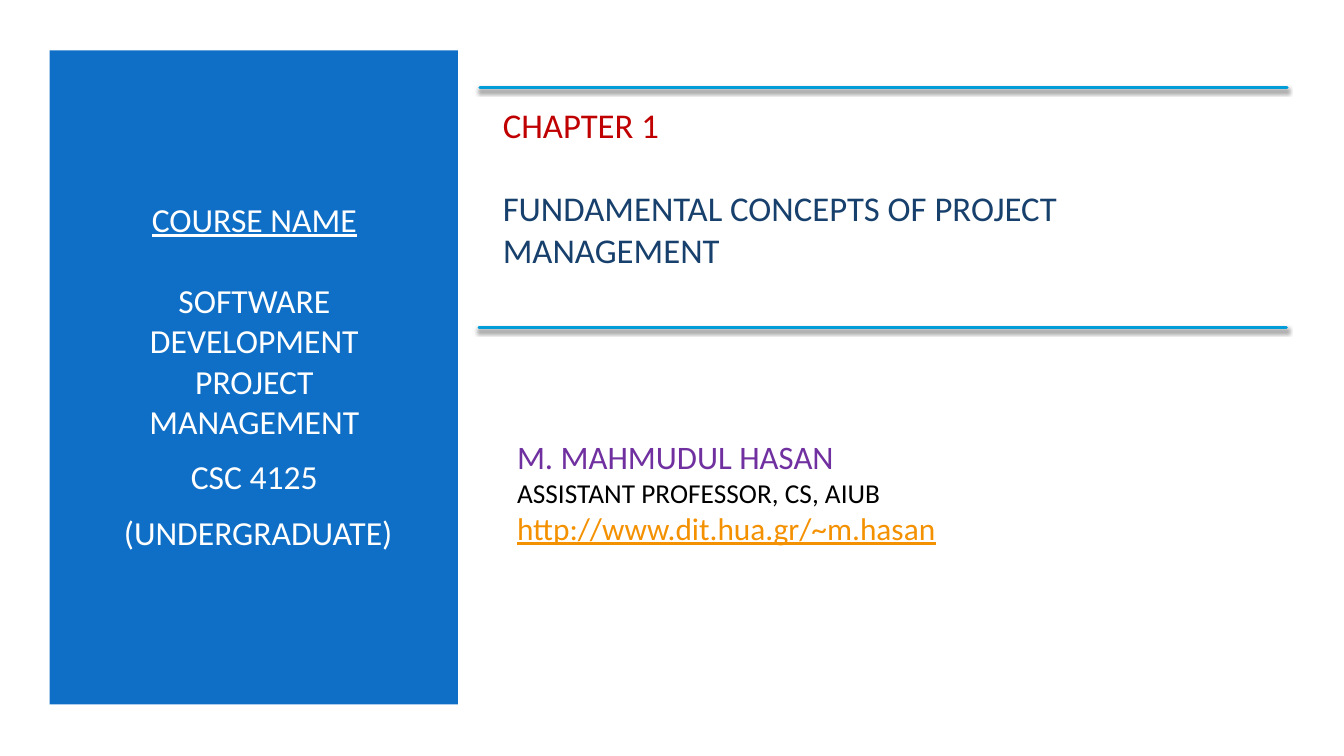
import dataclasses

import lxml.etree
import pptx
import pptx.dml.color
import pptx.enum.shapes
import pptx.enum.text
import pptx.oxml
import pptx.oxml.ns
import pptx.shapes.base
import pptx.slide
import pptx.util

Cm = pptx.util.Cm
Pt = pptx.util.Pt


@dataclasses.dataclass(frozen=True)
class Theme:
    font: str = "Calibri"
    panel: str = "0F6FC6"
    rule: str = "009DD9"
    white: str = "FFFFFF"
    black: str = "000000"
    chapter: str = "C00000"
    topic: str = "17406D"
    author: str = "7030A0"
    web: str = "F49100"
    course_size: float = 24
    title_size: float = 24.8
    author_size: float = 23.4
    role_size: float = 19.5
    web_size: float = 22.4


@dataclasses.dataclass(frozen=True)
class Frame:
    left: float
    top: float
    width: float
    height: float


@dataclasses.dataclass(frozen=True)
class Line:
    text: str
    size: float
    color: str
    before: float = 0
    underline: bool = False


@dataclasses.dataclass(frozen=True)
class Rule:
    left: float
    top: float


THEME = Theme()
Align = pptx.enum.text.PP_ALIGN

PANEL = Frame(1.25, 1.27, 10.29, 16.48)
COURSE_FRAME = Frame(2.13, 2.79, 8.56, 13.34)
TITLE_FRAME = Frame(12.42, 2.79, 19.94, 3.84)
AUTHOR_FRAME = Frame(12.78, 10.41, 16.92, 3.96)
RULE_LENGTH = 20.35
RULES = [Rule(12.09, 2.21), Rule(12.07, 8.26)]

COURSE = [
    Line("COURSE NAME", THEME.course_size, THEME.white, underline=True),
    Line("SOFTWARE DEVELOPMENT PROJECT MANAGEMENT",
         THEME.course_size, THEME.white, before=29),
    Line("CSC 4125", THEME.course_size, THEME.white, before=10.8),
    Line(" (UNDERGRADUATE)", THEME.course_size, THEME.white, before=10.8),
]
TITLE = [
    Line("CHAPTER 1", THEME.title_size, THEME.chapter),
    Line("FUNDAMENTAL CONCEPTS OF PROJECT MANAGEMENT",
         THEME.title_size, THEME.topic, before=30),
]
AUTHOR = [
    Line("M. MAHMUDUL HASAN", THEME.author_size, THEME.author),
    Line("ASSISTANT PROFESSOR, CS, AIUB", THEME.role_size, THEME.black),
    Line("http://www.dit.hua.gr/~m.hasan", THEME.web_size, THEME.web,
         underline=True),
]

SHADOW = (
    f'<a:effectLst {pptx.oxml.ns.nsdecls("a")}>'
    '<a:outerShdw blurRad="38100" dist="25400" dir="5400000" rotWithShape="0">'
    '<a:srgbClr val="000000"><a:alpha val="55000"/></a:srgbClr>'
    '</a:outerShdw></a:effectLst>'
)


def rgb(color: str) -> pptx.dml.color.RGBColor:
    return pptx.dml.color.RGBColor.from_string(color)


def set_all(target: object, values: dict[str, object]) -> None:
    for name, value in values.items():
        setattr(target, name, value)


def bounds(frame: Frame) -> list[pptx.util.Length]:
    return [Cm(side) for side in dataclasses.astuple(frame)]


def write_lines(box: pptx.shapes.base.BaseShape, lines: list[Line],
                align: Align, right_inset: float = 0.25) -> None:
    """Fill a text shape with one formatted paragraph for each line."""
    text_frame = box.text_frame
    set_all(text_frame, {
        "word_wrap": True,
        "auto_size": pptx.enum.text.MSO_AUTO_SIZE.NONE,
        "vertical_anchor": pptx.enum.text.MSO_ANCHOR.MIDDLE,
        "margin_left": Cm(0.25),
        "margin_right": Cm(right_inset),
    })
    for index, line in enumerate(lines):
        para = text_frame.add_paragraph() if index else text_frame.paragraphs[0]
        set_all(para, {"alignment": align, "space_before": Pt(line.before),
                       "space_after": Pt(0), "line_spacing": 1.0})
        span = para.add_run()
        span.text = line.text
        set_all(span.font, {"name": THEME.font, "size": Pt(line.size),
                            "underline": line.underline})
        span.font.color.rgb = rgb(line.color)


def draw_panel(page: pptx.slide.Slide) -> None:
    panel = page.shapes.add_shape(
        pptx.enum.shapes.MSO_SHAPE.RECTANGLE, *bounds(PANEL))
    panel.shadow.inherit = False
    panel.fill.solid()
    panel.fill.fore_color.rgb = rgb(THEME.panel)
    panel.line.fill.background()


def draw_title(page: pptx.slide.Slide) -> None:
    title = page.shapes.title
    set_all(title, dict(zip(("left", "top", "width", "height"),
                            bounds(TITLE_FRAME))))
    write_lines(title, TITLE, Align.LEFT, right_inset=0.5)


def draw_text(page: pptx.slide.Slide, frame: Frame, lines: list[Line],
              align: Align) -> None:
    write_lines(page.shapes.add_textbox(*bounds(frame)), lines, align)


def draw_rule(page: pptx.slide.Slide, rule: Rule) -> None:
    connector = page.shapes.add_connector(
        pptx.enum.shapes.MSO_CONNECTOR.STRAIGHT,
        Cm(rule.left), Cm(rule.top),
        Cm(rule.left + RULE_LENGTH), Cm(rule.top))
    connector.line.color.rgb = rgb(THEME.rule)
    connector.line.width = Pt(2)
    connector.line._ln.set("cap", "rnd")
    connector._element.spPr.append(pptx.oxml.parse_xml(SHADOW))


def main() -> None:
    deck = pptx.Presentation()
    set_all(deck, {"slide_width": Cm(33.87), "slide_height": Cm(19.05)})
    page = deck.slides.add_slide(deck.slide_layouts.get_by_name("Title Only"))
    draw_panel(page)
    draw_text(page, COURSE_FRAME, COURSE, Align.CENTER)
    draw_title(page)
    draw_text(page, AUTHOR_FRAME, AUTHOR, Align.LEFT)
    for rule in RULES:
        draw_rule(page, rule)
    deck.save("out.pptx")


if __name__ == "__main__":
    main()
